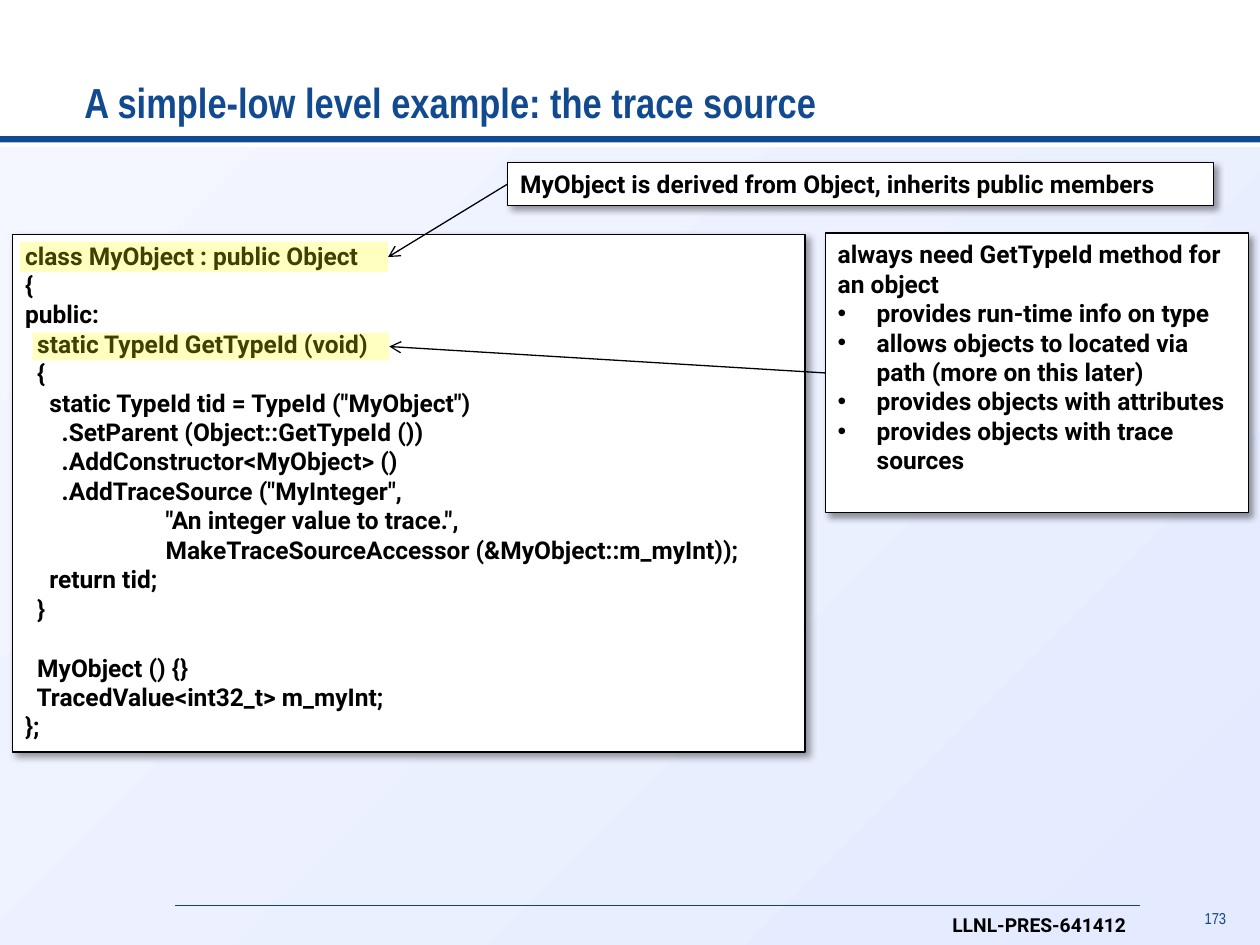
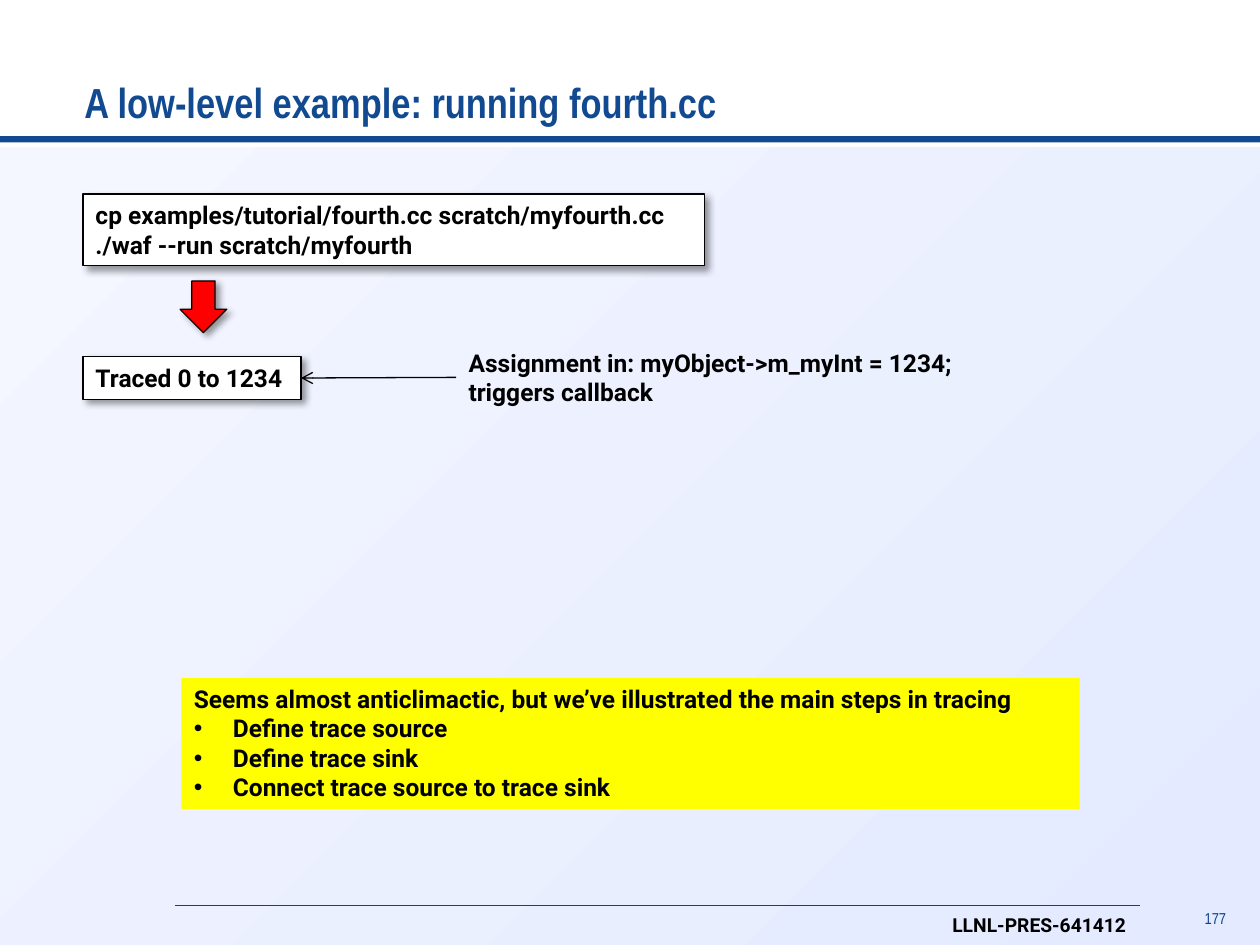
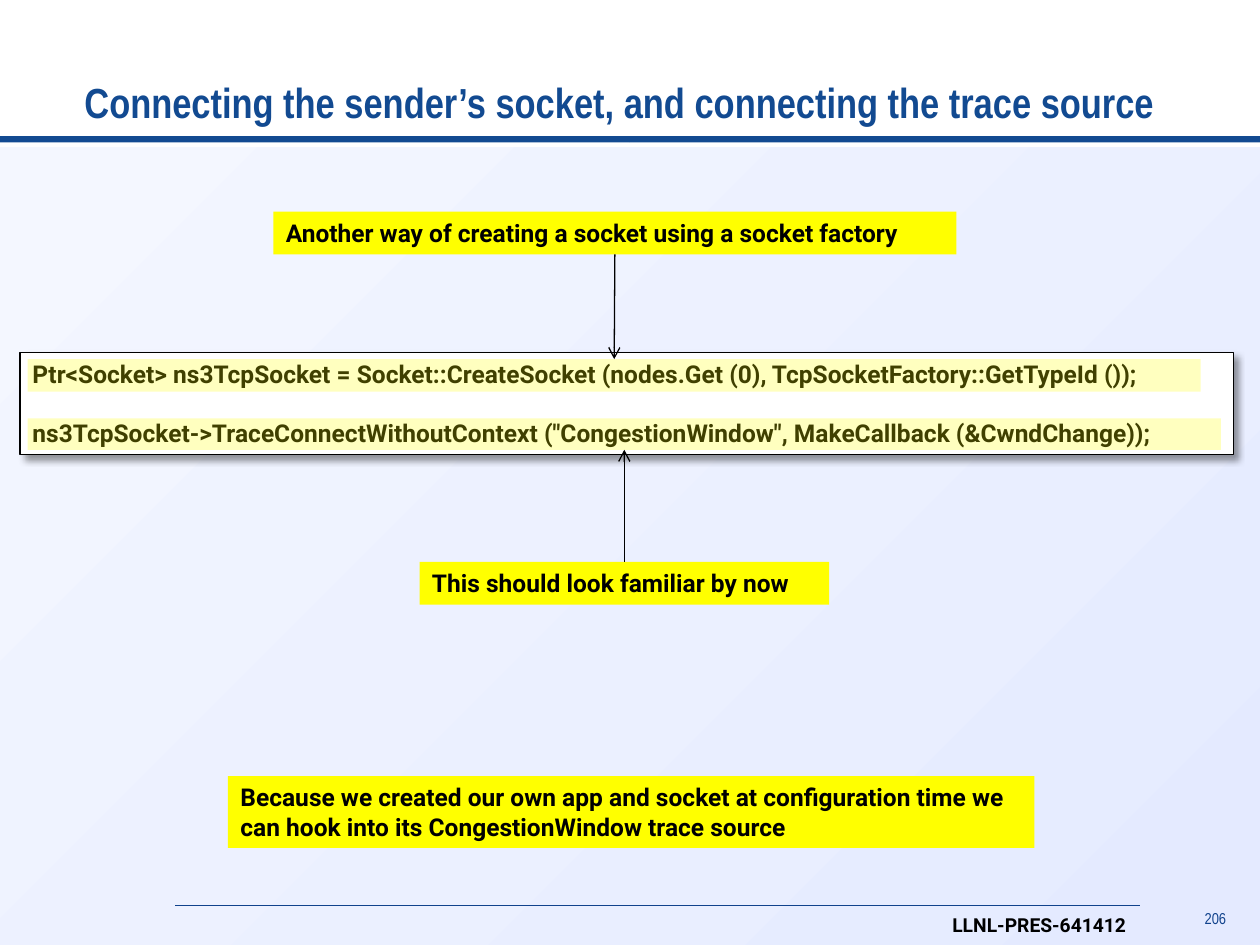
from lxml import etree
from pptx import Presentation
from pptx import util as u
from pptx.dml.color import RGBColor
from pptx.enum import shapes, text
from pptx.oxml import parse_xml
from pptx.oxml.ns import nsdecls, qn

rgb = RGBColor.from_string
NAVY, FOOT, BLACK, WHITE, YELLOW, RED = "124A91", "10428C", "000000", "FFFFFF", "FFFF00", "FF0000"
SKY = ("F4F7FF", "E4EAFF")
BODY, HEAD = "Roboto", "Arial Narrow"
W, H = 10, 7.5
BAR_TOP, BAR_H, BAND_TOP = 1.08, 0.05, 1.17
RULE_Y, FOOT_Y = 7.19, 7.2
CODE_LINE = 16.9

SHADOW = ('<a:outerShdw %s blurRad="50800" dist="38100" dir="2700000" algn="tl" rotWithShape="0">'
          '<a:srgbClr val="000000"><a:alpha val="40000"/></a:srgbClr></a:outerShdw>' % nsdecls("a"))


def box(s, at, lines=(), fill=None, framed=False, alpha=None, size=14,
        kind=shapes.MSO_SHAPE.RECTANGLE):
    """Text panel: a line led by a bullet is indented, an empty line becomes space before the next."""
    sp = s.shapes.add_shape(kind, *map(u.Inches, at))
    sp.shadow.inherit = False
    if fill:
        sp.fill.solid()
        sp.fill.fore_color.rgb = rgb(fill)
    else:
        sp.fill.background()
    if alpha:
        colour = sp.fill._xPr.find(".//" + qn("a:srgbClr"))
        etree.SubElement(colour, qn("a:alpha"), val=str(alpha * 1000))
    if framed:
        sp.line.color.rgb = rgb(BLACK)
        sp.line.width = u.Pt(0.75)
        sp._element.spPr.find(qn("a:effectLst")).append(parse_xml(SHADOW))
    else:
        sp.line.fill.background()

    tf = sp.text_frame
    tf.word_wrap = True
    tf.vertical_anchor = text.MSO_ANCHOR.TOP
    p, gap = tf.paragraphs[0], False
    for i, line in enumerate(lines):
        if not line:
            gap = True
            continue
        if i:
            p = tf.add_paragraph()
        p.text = line.removeprefix("• ")
        p.alignment = text.PP_ALIGN.LEFT
        if gap:
            p.space_before, gap = u.Pt(CODE_LINE), False
        if line.startswith("•"):
            pPr = p._p.get_or_add_pPr()
            pPr.set("marL", str(u.Inches(0.31)))
            pPr.set("indent", str(-u.Inches(0.31)))
            etree.SubElement(pPr, qn("a:buFont"), typeface="Arial")
            etree.SubElement(pPr, qn("a:buChar"), char="•")
        f = p.runs[0].font
        f.name, f.size, f.bold, f.color.rgb = BODY, u.Pt(size), True, rgb(BLACK)
    return sp


def line(s, ends=(0, 0, 0, 0), color=BLACK, width=0.75, joins=None):
    """Plain line between ends, or an arrow when joins gives (from shape, site, to shape, site)."""
    c = s.shapes.add_connector(shapes.MSO_CONNECTOR.STRAIGHT, *map(u.Inches, ends))
    c.line.color.rgb = rgb(color)
    c.line.width = u.Pt(width)
    if joins:
        c.begin_connect(*joins[:2])
        c.end_connect(*joins[2:])
        etree.SubElement(c.line._get_or_add_ln(), qn("a:tailEnd"), type="arrow")
    etree.SubElement(c._element.spPr, qn("a:effectLst"))


prs = Presentation()
prs.slide_width, prs.slide_height = u.Inches(W), u.Inches(H)
TOP, LEFT, BOTTOM, RIGHT = range(4)

# Shared frame: title, background band, blue bar, footer
slides = []
for title, number in (
        ("A simple-low level example: the trace source", "173"),
        ("A low-level example: running fourth.cc", "177"),
        ("Connecting the sender’s socket, and connecting the trace source", "206")):
    s = prs.slides.add_slide(prs.slide_layouts[5])
    slides.append(s)

    band = box(s, (0, BAND_TOP, W, H - BAND_TOP))
    band.fill.gradient()
    band.fill.gradient_angle = 315
    for stop, color, position in zip(band.fill.gradient_stops, SKY, (0, 1)):
        stop.color.rgb = rgb(color)
        stop.position = position
    for half in range(2):
        box(s, (half * W / 2, BAR_TOP, W / 2, BAR_H), fill=NAVY)
    line(s, (1.39, RULE_Y, 9.05, RULE_Y), FOOT, 0.5)
    box(s, (7.46, FOOT_Y, 1.63, 0.29), ["LLNL-PRES-641412"], size=11)

    page = box(s, (9.49, FOOT_Y, 0.34, 0.22), [number], size=9)
    page.text_frame.margin_left = 0
    p = page.text_frame.paragraphs[0]
    p.alignment, p.line_spacing = text.PP_ALIGN.RIGHT, 0.75
    f = p.runs[0].font
    f.name, f.bold, f.color.rgb = HEAD, False, rgb(FOOT)

    head = s.shapes.title
    head.left, head.top, head.width, head.height = map(u.Inches, (0.67, 0.17, 8.69, 0.89))
    tf = head.text_frame
    tf.text = title
    tf.margin_left = 0
    tf.word_wrap = True
    tf.auto_size = text.MSO_AUTO_SIZE.NONE
    tf.vertical_anchor = text.MSO_ANCHOR.BOTTOM
    p = tf.paragraphs[0]
    p.alignment = text.PP_ALIGN.LEFT
    f = p.runs[0].font
    f.name, f.size, f.bold, f.color.rgb = HEAD, u.Pt(24), True, rgb(NAVY)

source, running, socket = slides

# The trace source
box(source, (0.1, 1.86, 6.29, 4.11), '''class MyObject : public Object
{
public:
  static TypeId GetTypeId (void)
  {
    static TypeId tid = TypeId ("MyObject")
      .SetParent (Object::GetTypeId ())
      .AddConstructor<MyObject> ()
      .AddTraceSource ("MyInteger",
                       "An integer value to trace.",
                       MakeTraceSourceAccessor (&MyObject::m_myInt));
    return tid;
  }

  MyObject () {}
  TracedValue<int32_t> m_myInt;
};'''.split("\n"), WHITE, framed=True)
class_mark = box(source, (0.16, 1.92, 2.92, 0.24), fill=YELLOW, alpha=25)
derived = box(source, (4.03, 1.29, 5.6, 0.34),
              ["MyObject is derived from Object, inherits public members"], WHITE, framed=True)
line(source, joins=(derived, LEFT, class_mark, RIGHT))
type_notes = box(source, (6.55, 1.85, 3.36, 2.22), [
    "always need GetTypeId method for an object",
    "• provides run-time info on type",
    "• allows objects to located via path (more on this later)",
    "• provides objects with attributes",
    "• provides objects with trace sources"], WHITE, framed=True)
type_mark = box(source, (0.26, 2.64, 2.83, 0.22), fill=YELLOW, alpha=25)
line(source, joins=(type_notes, LEFT, type_mark, RIGHT))

# Running fourth.cc
box(running, (0.66, 1.54, 4.93, 0.57), [
    "cp examples/tutorial/fourth.cc scratch/myfourth.cc",
    "./waf --run scratch/myfourth"], WHITE, framed=True)
output = box(running, (0.66, 2.83, 1.73, 0.34), ["Traced 0 to 1234"], WHITE, framed=True)
box(running, (1.43, 2.23, 0.37, 0.41), fill=RED, framed=True, kind=shapes.MSO_SHAPE.DOWN_ARROW)
box(running, (1.44, 5.38, 7.13, 1.04), [
    "Seems almost anticlimactic, but we’ve illustrated the main steps in tracing",
    "• Define trace source",
    "• Define trace sink",
    "• Connect trace source to trace sink"], YELLOW)
trigger = box(running, (3.62, 2.71, 4.28, 0.57), [
    "Assignment in: myObject->m_myInt = 1234;", "triggers callback"])
line(running, joins=(trigger, LEFT, output, RIGHT))

# Connecting the socket
box(socket, (0.16, 2.8, 9.63, 0.81), [
    "Ptr<Socket> ns3TcpSocket = Socket::CreateSocket (nodes.Get (0), TcpSocketFactory::GetTypeId ());",
    "",
    'ns3TcpSocket->TraceConnectWithoutContext ("CongestionWindow", MakeCallback (&CwndChange));',
], WHITE, framed=True)
create_mark = box(socket, (0.22, 2.85, 9.31, 0.26), fill=YELLOW, alpha=25)
connect_mark = box(socket, (0.22, 3.32, 9.47, 0.25), fill=YELLOW, alpha=25)
factory = box(socket, (2.17, 1.68, 5.42, 0.34),
              ["Another way of creating a socket using a socket factory"], YELLOW)
line(socket, joins=(factory, BOTTOM, create_mark, TOP))
familiar = box(socket, (3.33, 4.46, 3.25, 0.34), ["This should look familiar by now"], YELLOW)
line(socket, joins=(familiar, TOP, connect_mark, BOTTOM))
box(socket, (1.81, 6.16, 6.4, 0.57), [
    "Because we created our own app and socket at configuration time we can hook into its "
    "CongestionWindow trace source"], YELLOW)

prs.save("out.pptx")
